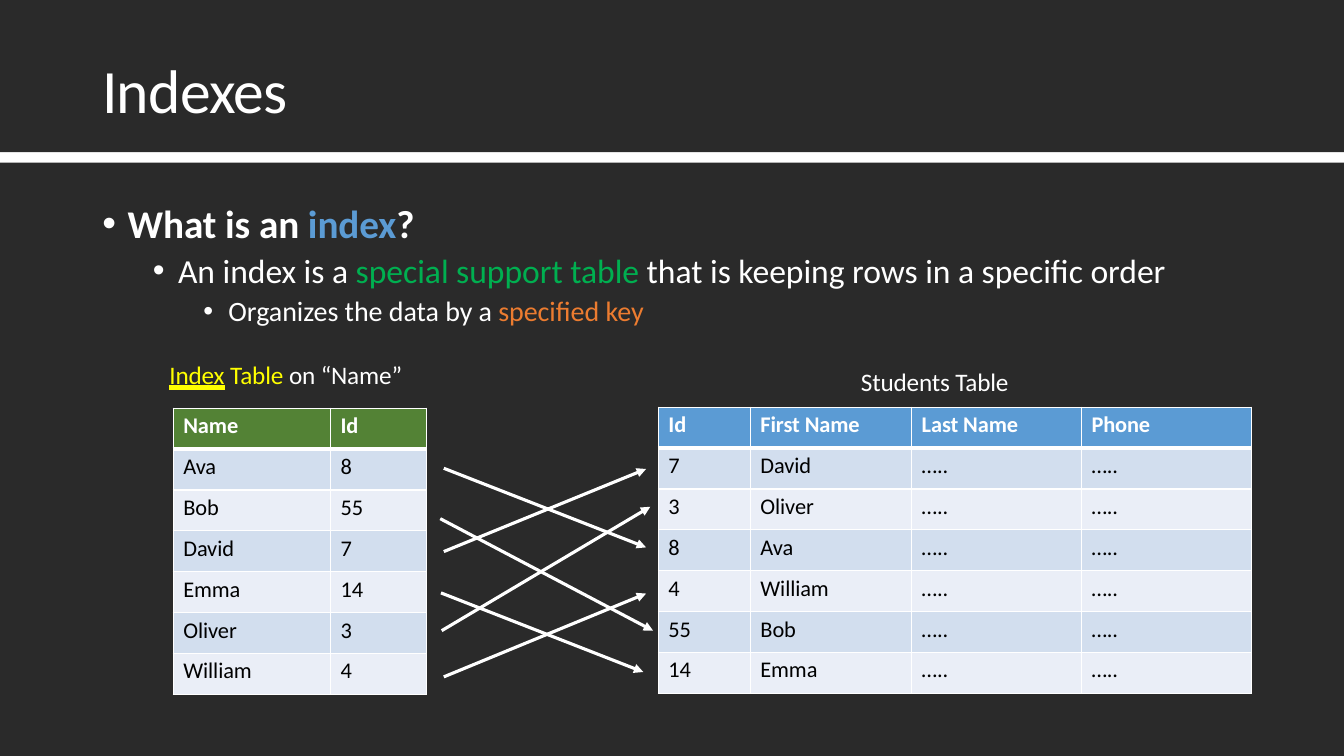
from lxml import etree
from pptx import Presentation
from pptx.dml.color import RGBColor
from pptx.enum.shapes import MSO_CONNECTOR, MSO_SHAPE
from pptx.enum.text import MSO_UNDERLINE
from pptx.oxml.ns import qn
from pptx.util import Pt

RECTANGLE = MSO_SHAPE.RECTANGLE
STRAIGHT = MSO_CONNECTOR.STRAIGHT
HEAVY = MSO_UNDERLINE.HEAVY_LINE
FONT = "Calibri"
DARK, WHITE, BLACK = "2A2A2A", "FFFFFF", "000000"
BLUE, GREEN, ORANGE, YELLOW = "5B9BD4", "00AF50", "EC7C30", "FFFF00"
HEADER_GREEN = "538235"
BANDS = ["D2DEEE", "EAEEF7"]
ROW_HEIGHT = 29.2


def color(value):
    return RGBColor.from_string(value)


def write(para, spans, size, before, bold=False, tracking=-10):
    para.font.name = FONT
    para.font.size = Pt(size)
    para.font.bold = bold
    para.space_before = Pt(before)
    for text, shade in spans:
        span = para.add_run()
        span.text = text
        span.font.color.rgb = color(shade)
        span.font._element.set("spc", str(tracking))


deck = Presentation()
deck.slide_width = Pt(960)
deck.slide_height = Pt(540)
page = deck.slides.add_slide(deck.slide_layouts[6])
page.background.fill.solid()
page.background.fill.fore_color.rgb = color(WHITE)

for top, bottom in [(0, 108.8), (116.2, 540)]:
    panel = page.shapes.add_shape(RECTANGLE, Pt(0), Pt(top), Pt(960), Pt(bottom - top))
    panel.shadow.inherit = False
    panel.fill.solid()
    panel.fill.fore_color.rgb = color(DARK)
    panel.line.fill.background()

title = [([("Indexes", WHITE)], 44, 1.1, False, -50)]
bullets = [
    ([("What is an ", WHITE), ("index", BLUE), ("?", WHITE)], 28, 3.9, True, -5),
    ([("An index is a ", WHITE), ("special support table ", GREEN),
      ("that is keeping rows in a specific order", WHITE)], 24, 2.5, False, -4),
    ([("Organizes the data by a ", WHITE), ("specified key", ORANGE)], 20, 2.8, False, -5),
]
index_caption = [([("Index", YELLOW), (" Table ", YELLOW), ("on “Name”", WHITE)], 18, 1, False, -10)]
students_caption = [([("Students Table", WHITE)], 18, 1, False, -15)]

text_blocks = [
    (73, 36, 134, 54.7, 0.9, title),
    (72.7, 138.6, 775, 96.5, 3.6, bullets),
    (121, 255.8, 180, 23.8, 0.9, index_caption),
    (615, 260.6, 120, 23.8, 0.9, students_caption),
]
for left, top, width, height, inset, lines in text_blocks:
    box = page.shapes.add_textbox(Pt(left), Pt(top), Pt(width), Pt(height))
    frame = box.text_frame
    frame.word_wrap = True
    frame.margin_left = frame.margin_right = frame.margin_bottom = Pt(0)
    frame.margin_top = Pt(inset)
    for level, line in enumerate(lines):
        para = frame.add_paragraph() if level else frame.paragraphs[0]
        write(para, *line)
        if lines is bullets:
            para.level = level
            properties = para._p.get_or_add_pPr()
            properties.set("marL", str(Pt(18.5 + 36 * level)))
            properties.set("indent", str(Pt(-18)))
            etree.SubElement(properties, qn("a:buFont"), typeface="Arial")
            etree.SubElement(properties, qn("a:buChar"), char="•")
            default_font = properties.find(qn("a:defRPr"))
            properties.append(default_font)
    if lines is index_caption:
        frame.paragraphs[0].runs[0].font.underline = HEAVY

index_rows = [("Name", "Id"), ("Ava", "8"), ("Bob", "55"), ("David", "7"),
              ("Emma", "14"), ("Oliver", "3"), ("William", "4")]
students = [("7", "David"), ("3", "Oliver"), ("8", "Ava"),
            ("4", "William"), ("55", "Bob"), ("14", "Emma")]
student_rows = [("Id", "First Name", "Last Name", "Phone")]
student_rows += [(*student, "…..", "…..") for student in students]

tables = [
    (123.8, 291.6, [112.3, 68.8], HEADER_GREEN, index_rows),
    (470.3, 290.9, [65.7, 115.2, 121.3, 121.3], BLUE, student_rows),
]
for left, top, widths, header_fill, rows in tables:
    table = page.shapes.add_table(len(rows), len(widths), Pt(left), Pt(top),
                                  Pt(sum(widths)), Pt(ROW_HEIGHT * len(rows))).table
    for column, width in zip(table.columns, widths):
        column.width = Pt(width)
    for row_number, values in enumerate(rows):
        table.rows[row_number].height = Pt(ROW_HEIGHT)
        header = row_number == 0
        for column_number, value in enumerate(values):
            cell = table.cell(row_number, column_number)
            cell.margin_left = Pt(7.2)
            cell.margin_right = cell.margin_bottom = Pt(0)
            cell.margin_top = Pt(2.9)
            thick_side = {0: "lnB", 1: "lnT"}.get(row_number)
            for side in ("lnL", "lnR", "lnT", "lnB"):
                border = etree.SubElement(cell._tc.get_or_add_tcPr(), qn("a:" + side),
                                          w=str(Pt(3 if side == thick_side else 1)))
                paint = etree.SubElement(border, qn("a:solidFill"))
                etree.SubElement(paint, qn("a:srgbClr"), val=WHITE)
            cell.fill.solid()
            cell.fill.fore_color.rgb = color(header_fill if header else BANDS[(row_number - 1) % 2])
            write(cell.text_frame.paragraphs[0], [(value, WHITE if header else BLACK)],
                  16, 2.6, header, -5)

arrows = [
    (317, 334.5, 461.5, 391),
    (314.5, 370.5, 466.5, 450.5),
    (317, 394, 461.5, 335),
    (315, 423.5, 459.5, 480),
    (315.5, 450.5, 464.5, 362),
    (317, 483.5, 461.5, 424),
]
for ends in arrows:
    arrow = page.shapes.add_connector(STRAIGHT, *map(Pt, ends))
    arrow.line.width = Pt(2.25)
    arrow.line.color.rgb = color(WHITE)
    etree.SubElement(arrow.line._get_or_add_ln(), qn("a:tailEnd"), type="triangle")
    etree.SubElement(arrow._element.spPr, qn("a:effectLst"))

deck.save("out.pptx")
